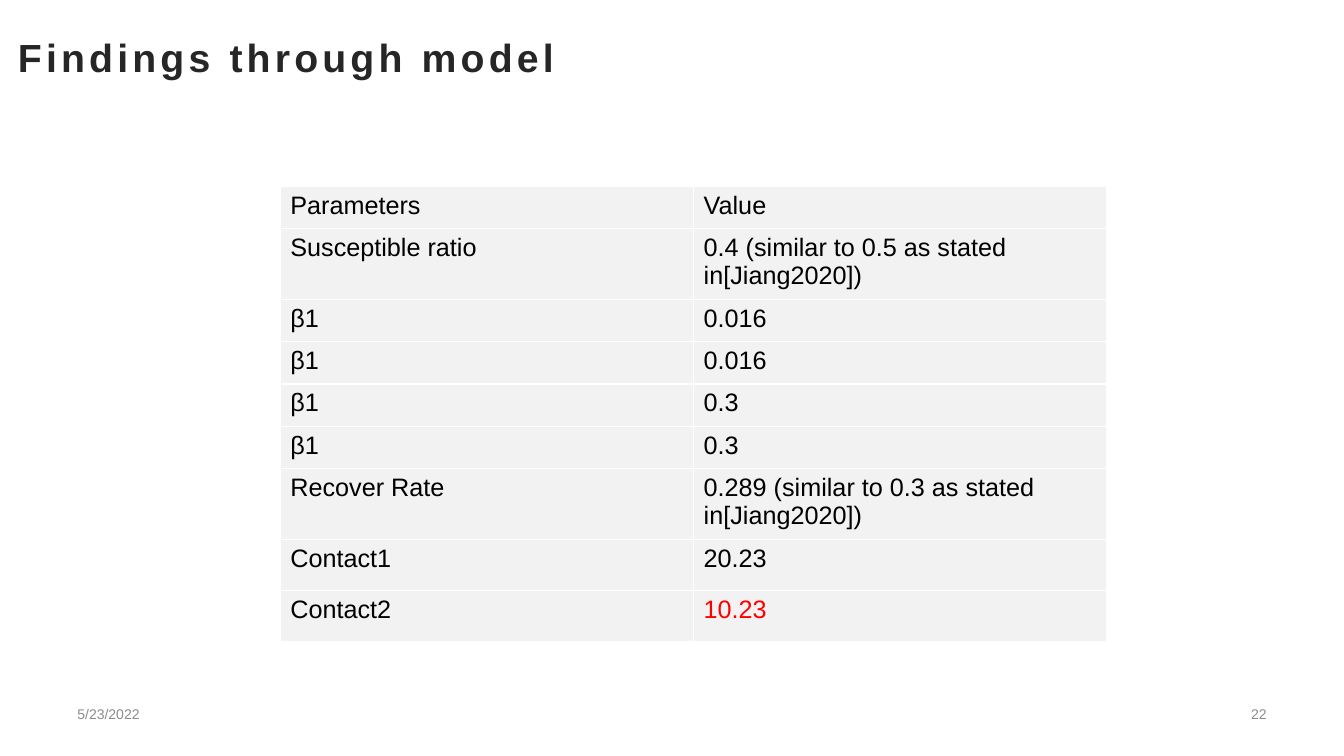
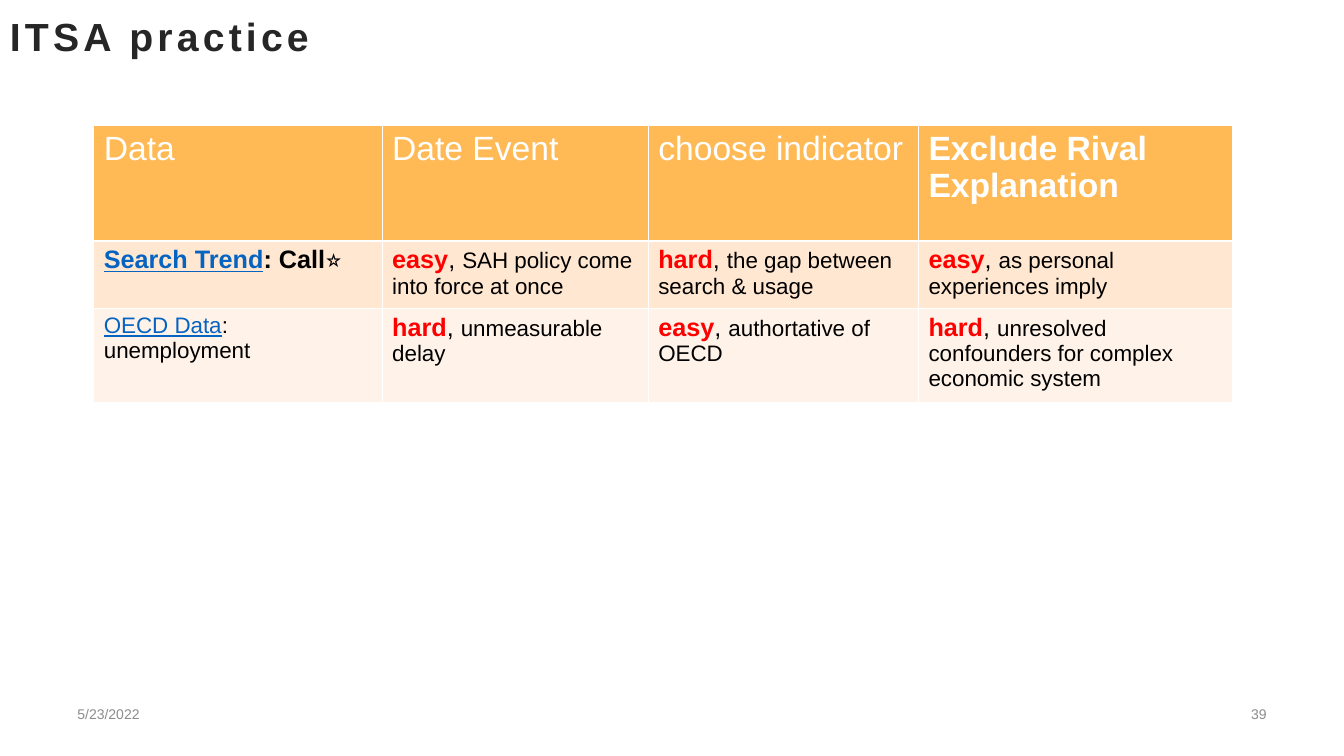
from lxml import etree
from pptx import Presentation
from pptx import util as u
from pptx.dml.color import RGBColor
from pptx.enum import text
from pptx.oxml.ns import qn

FONT = "Arial"
DATE = "5/23/2022"
WHITE, BLACK, RED, LINK = "FFFFFF", "000000", "FF0000", "0563C1"
GRAY, ORANGE, PEACH, CREAM = "F2F2F2", "FFBA55", "FFE7D1", "FFF3E9"

STYLES = {
    "title": dict(size=28, color="262626", bold=True),
    "footer": dict(size=10, color="8C8C8C"),
    "value": dict(size=18, color=BLACK),
    "alert": dict(size=18, color=RED),
    "head": dict(size=24, color=WHITE),
    "head_bold": dict(size=24, color=WHITE, bold=True),
    "link_bold": dict(size=18, color=LINK, bold=True, underline=True),
    "strong": dict(size=18, color=BLACK, bold=True),
    "rating": dict(size=18, color=RED, bold=True),
    "link": dict(size=16, color=LINK, underline=True),
    "note": dict(size=16, color=BLACK),
}

PARAMETERS = [
    ("Parameters", "Value"),
    ("Susceptible ratio", "0.4 (similar to 0.5 as stated in[Jiang2020])"),
    ("β1", "0.016"),
    ("β1", "0.016"),
    ("β1", "0.3"),
    ("β1", "0.3"),
    ("Recover Rate", "0.289 (similar to 0.3 as stated in[Jiang2020])"),
    ("Contact1", "20.23"),
    ("Contact2", "10.23"),
]
ALERT_VALUE = "10.23"

HEADINGS = [("Data", "head"), ("Date Event", "head"),
            ("choose indicator", "head"),
            ("Exclude Rival Explanation", "head_bold")]
SOURCES = [
    ([("Search Trend", "link_bold"), (": Call⭐️", "strong")],
     [("easy", "SAH policy come into force at once"),
      ("hard", "the gap between search & usage"),
      ("easy", "as personal experiences imply")]),
    ([("OECD Data", "link"), (": unemployment", "note")],
     [("hard", "unmeasurable delay"),
      ("easy", "authortative of OECD"),
      ("hard", "unresolved confounders for complex economic system")]),
]


def rgb(color):
    return RGBColor.from_string(color)


def add_run(p, content, style):
    look = STYLES[style]
    r = p.add_run()
    r.text = content
    r.font.name = FONT
    r.font.size = u.Pt(look["size"])
    r.font.color.rgb = rgb(look["color"])
    r.font.bold = look.get("bold", False)
    r.font.underline = look.get("underline", False)
    return r


def add_label(s, box, content, style, align=text.PP_ALIGN.LEFT):
    tf = s.shapes.add_textbox(*map(u.Inches, box)).text_frame
    tf.word_wrap = True
    tf.vertical_anchor = text.MSO_ANCHOR.MIDDLE
    p = tf.paragraphs[0]
    p.alignment = align
    return add_run(p, content, style)


def add_slide(prs, title, title_box, number):
    s = prs.slides.add_slide(prs.slide_layouts[6])
    r = add_label(s, title_box, title, "title")
    r.font._element.set("spc", "300")
    add_label(s, (0.67, 6.91, 2.95, 0.35), DATE, "footer")
    add_label(s, (9.71, 6.91, 2.95, 0.35), number, "footer",
              text.PP_ALIGN.RIGHT)
    return s


def set_borders(cell):
    tcPr = cell._tc.get_or_add_tcPr()
    for i, side in enumerate(("lnL", "lnR", "lnT", "lnB")):
        ln = etree.Element(qn("a:" + side), w=str(u.Pt(1)))
        fill = etree.SubElement(ln, qn("a:solidFill"))
        etree.SubElement(fill, qn("a:srgbClr"), val=WHITE)
        tcPr.insert(i, ln)


def add_grid(s, left, top, widths, heights, rows, fills):
    table = s.shapes.add_table(
        len(rows), len(widths), u.Inches(left), u.Inches(top),
        u.Inches(sum(widths)), u.Inches(sum(heights))).table
    for column, width in zip(table.columns, widths):
        column.width = u.Inches(width)
    for i, (height, row, fill) in enumerate(zip(heights, rows, fills)):
        table.rows[i].height = u.Inches(height)
        for j, runs in enumerate(row):
            cell = table.cell(i, j)
            cell.fill.solid()
            cell.fill.fore_color.rgb = rgb(fill)
            set_borders(cell)
            for content, style in runs:
                add_run(cell.text_frame.paragraphs[0], content, style)


def build_findings(prs):
    s = add_slide(prs, "Findings through model", (0.08, 0.14, 10.9, 0.85), "22")
    rows = [[[(content, "alert" if content == ALERT_VALUE else "value")]
             for content in row] for row in PARAMETERS]
    heights = [0.42, 0.49] + [0.42] * 4 + [0.51] * 3
    add_grid(s, 2.78, 1.85, [4.1] * 2, heights, rows, [GRAY] * len(rows))


def build_practice(prs):
    s = add_slide(prs, "ITSA practice", (0, -0.07, 5.9, 0.85), "39")
    rows = [[[heading] for heading in HEADINGS]]
    for source, ratings in SOURCES:
        rows.append([source] + [
            [(rating, "rating"), (", ", "value"), (reason, "note")]
            for rating, reason in ratings])
    add_grid(s, 0.93, 1.24, [2.86, 2.64, 2.68, 3.12], [1.15, 0.65, 0.91],
             rows, [ORANGE, PEACH, CREAM])


def main():
    prs = Presentation()
    prs.slide_width, prs.slide_height = u.Inches(13.33), u.Inches(7.5)
    build_findings(prs)
    build_practice(prs)
    prs.save("out.pptx")


if __name__ == "__main__":
    main()
